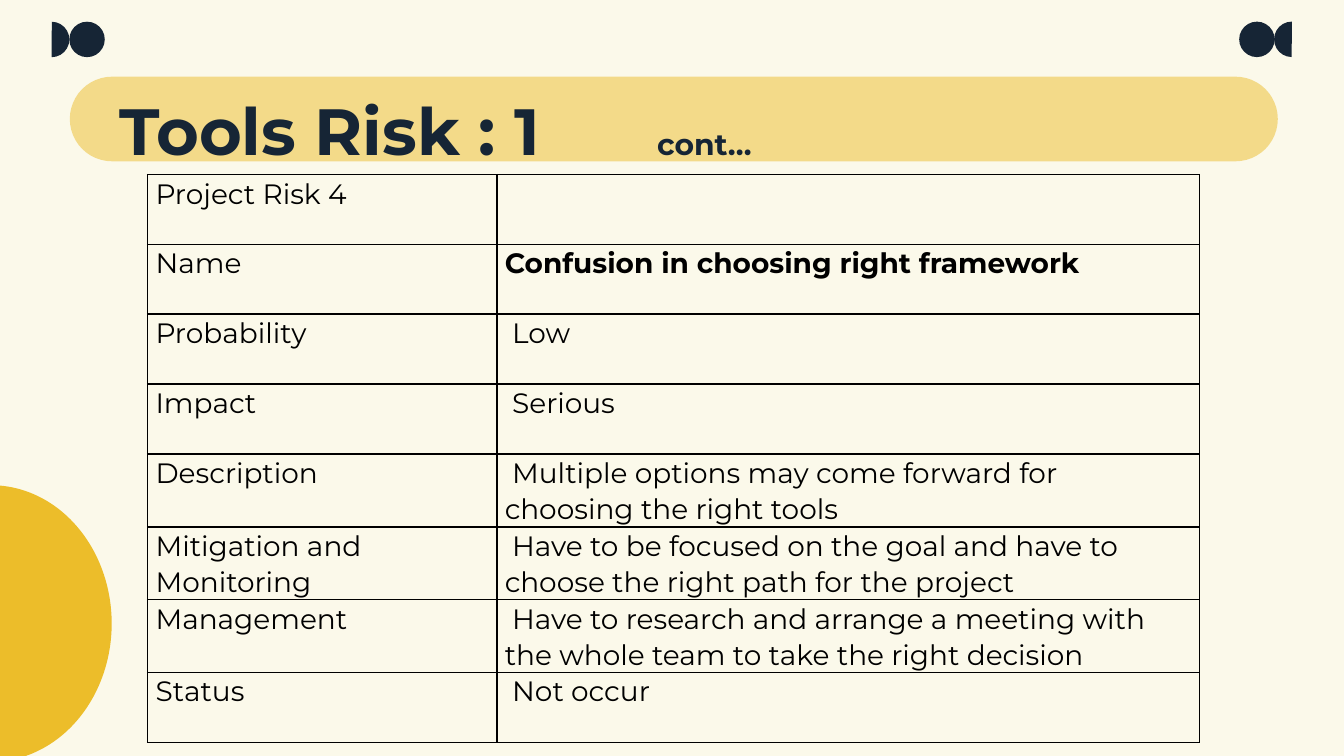
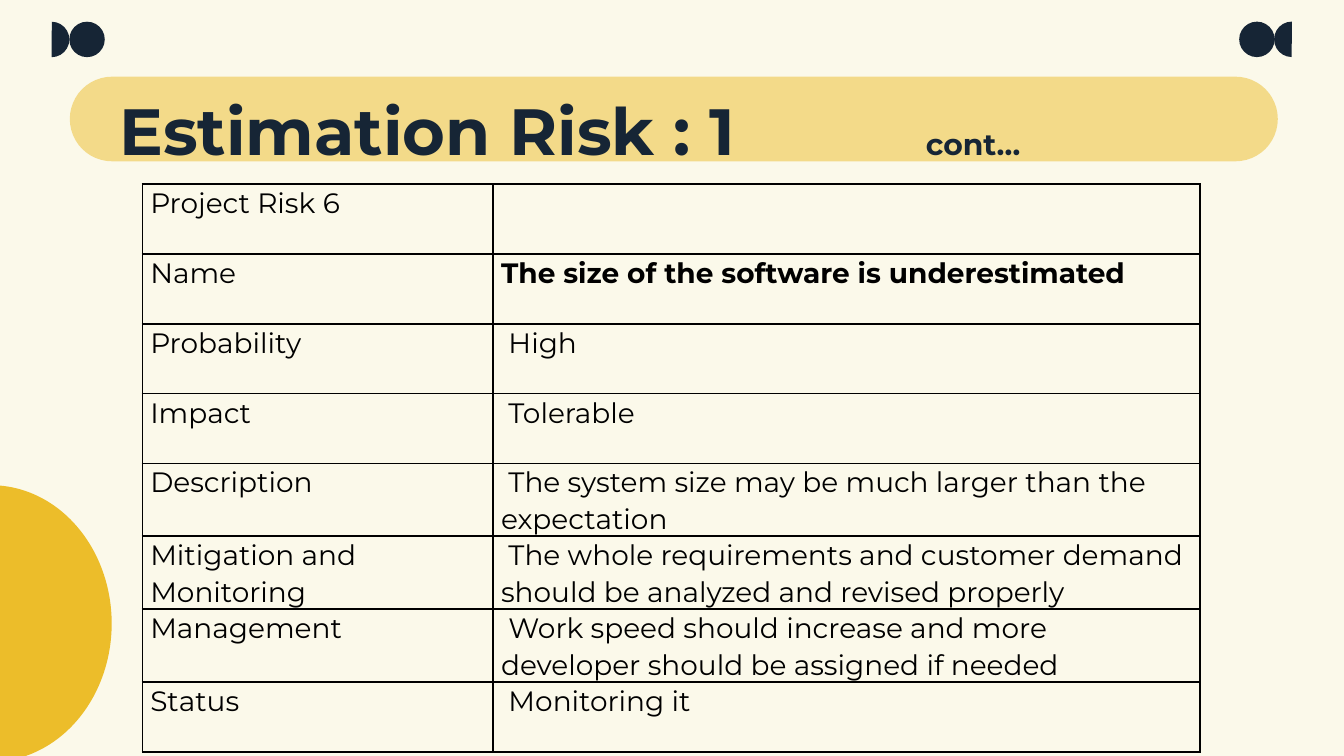
from lxml.etree import SubElement
from pptx import Presentation
from pptx.dml.color import RGBColor
from pptx.enum.shapes import MSO_SHAPE
from pptx.enum.text import MSO_ANCHOR, MSO_AUTO_SIZE, PP_ALIGN
from pptx.oxml import parse_xml
from pptx.oxml.ns import nsdecls, qn
from pptx.util import Cm, Pt

CREAM = RGBColor(0xFB, 0xF9, 0xEA)
NAVY = RGBColor(0x16, 0x25, 0x35)
GOLD = RGBColor(0xEC, 0xBD, 0x2A)
BLACK = RGBColor(0x00, 0x00, 0x00)
FONT = "Montserrat"
DOT = 0.67
TAB_STOPS = [10.16, 12.7, 15.24]

LABELS = ["Name", "Probability", "Impact", "Description",
          "Mitigation and Monitoring", "Management", "Status"]
RISKS = [
    {
        "title": "Tools Risk : 1\t",
        "number": "Project Risk 4",
        "corner": (2.79, 3.3),
        "columns": (6.6, 13.28),
        "answers": [
            "Confusion in choosing right framework",
            "Low",
            "Serious",
            "Multiple options may come forward for choosing the right tools",
            "Have to be focused on the goal and have to choose the right path for the project",
            "Have to research and arrange a meeting with the whole team to take the right decision",
            "Not occur",
        ],
    },
    {
        "title": "Estimation Risk : 1\t\t",
        "number": "Project Risk 6",
        "corner": (2.69, 3.48),
        "columns": (6.63, 13.36),
        "answers": [
            "The size of the software is underestimated",
            "High",
            "Tolerable",
            "The system size may be much larger than the expectation",
            "The whole requirements and customer demand should be analyzed and revised properly",
            "Work speed should increase and more developer should be assigned if needed",
            "Monitoring it",
        ],
    },
]


def write(paragraph, text, size=15, color=BLACK, bold=False):
    run = paragraph.add_run()
    run.text = text
    run.font.name = FONT
    run.font.size = Pt(size)
    run.font.bold = bold
    run.font.color.rgb = color


def draw(slide, kind, left, top, width, height, color, rotation=0, adjustments=()):
    shape = slide.shapes.add_shape(kind, Cm(left), Cm(top), Cm(width), Cm(height))
    shape.shadow.inherit = False
    shape.fill.solid()
    shape.fill.fore_color.rgb = color
    shape.line.fill.background()
    shape.rotation = rotation
    for index, value in enumerate(adjustments):
        shape.adjustments[index] = value
    return shape


prs = Presentation()
prs.slide_width = Cm(25.4)
prs.slide_height = Cm(14.29)

layout = prs.slide_layouts.get_by_name("Title Only")
layout.background.fill.solid()
layout.background.fill.fore_color.rgb = CREAM
for footer in list(layout.placeholders)[1:]:
    footer.element.getparent().remove(footer.element)

slides = [prs.slides.add_slide(layout) for _ in RISKS]

decorations = []
for half_left, dot_left, rotation in [(0.64, 1.31, 180), (24.08, 23.42, 0)]:
    half = draw(slides[0], MSO_SHAPE.PIE, half_left, 0.41, DOT, DOT, NAVY,
                rotation, (54.58, 162))
    dot = draw(slides[0], MSO_SHAPE.OVAL, dot_left, 0.41, DOT, DOT, NAVY, rotation)
    decorations.append(slides[0].shapes.add_group_shape([half, dot]))
decorations.append(draw(slides[0], MSO_SHAPE.PIE, -2.46, 9.17, 4.57, 5.23, GOLD,
                        180, (53.46, 162)))
for decoration in decorations:
    layout.shapes.element.append(decoration.element)

for slide, risk in zip(slides, RISKS):
    band = draw(slide, MSO_SHAPE.ROUNDED_RECTANGLE, 1.32, 1.45, 22.83, 1.6, GOLD,
                adjustments=(0.5,))
    band_color = band.element.find(".//" + qn("a:srgbClr"))
    SubElement(band_color, qn("a:alpha"), val="50000")

    title = slide.shapes.title
    slide.shapes.element.append(title.element)
    title.left, title.top, title.width, title.height = Cm(2.01), Cm(1.45), Cm(21.41), Cm(1.6)
    frame = title.text_frame
    frame.word_wrap = True
    frame.auto_size = MSO_AUTO_SIZE.NONE
    frame.vertical_anchor = MSO_ANCHOR.TOP
    frame.margin_left = frame.margin_right = frame.margin_top = frame.margin_bottom = Cm(0.25)
    heading = frame.paragraphs[0]
    heading.alignment = PP_ALIGN.LEFT
    tabs = SubElement(heading._p.get_or_add_pPr(), qn("a:tabLst"))
    for stop in TAB_STOPS:
        SubElement(tabs, qn("a:tab"), pos=str(Cm(stop)), algn="l")
    write(heading, risk["title"], size=35, color=NAVY, bold=True)
    write(heading, "cont…", size=16, color=NAVY, bold=True)

    rows = [(risk["number"], ""), *zip(LABELS, risk["answers"])]
    left, top = risk["corner"]
    table = slide.shapes.add_table(len(rows), 2, Cm(left), Cm(top),
                                   Cm(sum(risk["columns"])), Cm(10.6)).table
    table.first_row = False
    table.horz_banding = False
    for column, width in zip(table.columns, risk["columns"]):
        column.width = Cm(width)
    for row_index, texts in enumerate(rows):
        table.rows[row_index].height = Cm(1.35 if row_index in (4, 5, 6) else 1.32)
        for column_index, text in enumerate(texts):
            cell = table.cell(row_index, column_index)
            cell.margin_left = cell.margin_right = Cm(0.15)
            cell.margin_top = cell.margin_bottom = 0
            cell.fill.background()
            properties = cell._tc.get_or_add_tcPr()
            for position, side in enumerate(("lnL", "lnR", "lnT", "lnB")):
                properties.insert(position, parse_xml(
                    f'<a:{side} {nsdecls("a")} w="{Pt(1)}"><a:solidFill>'
                    f'<a:srgbClr val="{BLACK}"/></a:solidFill></a:{side}>'))
            if text:
                paragraph = cell.text_frame.paragraphs[0]
                paragraph.line_spacing = 1.07
                if column_index == 1 and row_index > 1:
                    paragraph._p.get_or_add_pPr().set("indent", str(Cm(0.14)))
                write(paragraph, text, bold=column_index == 1 and row_index == 1)

prs.save("out.pptx")
